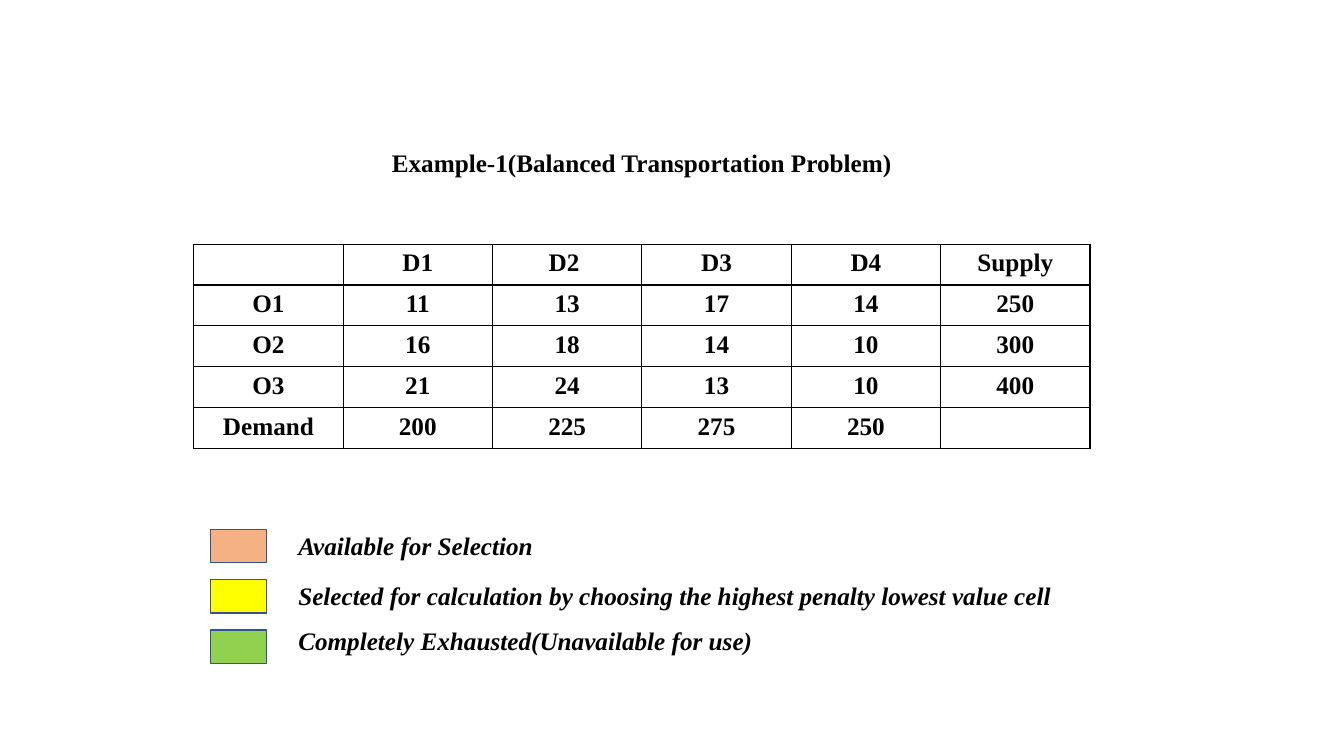
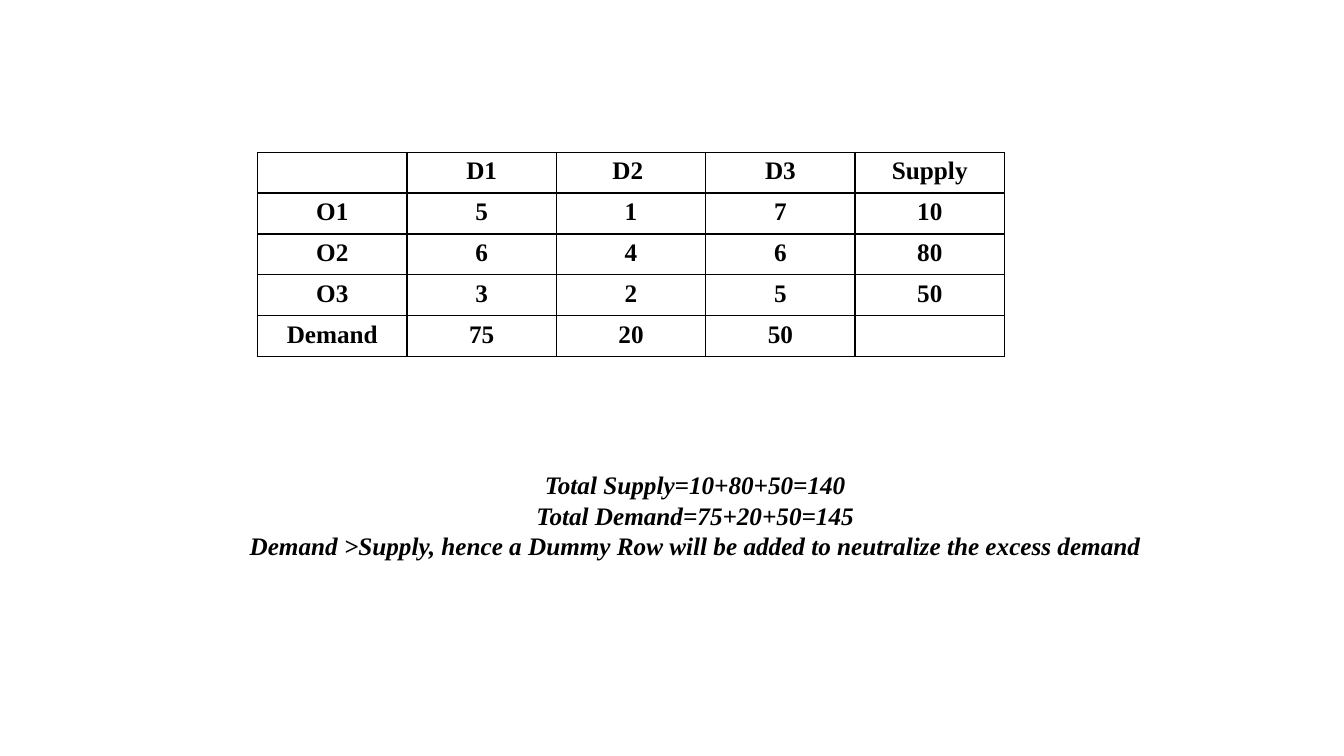
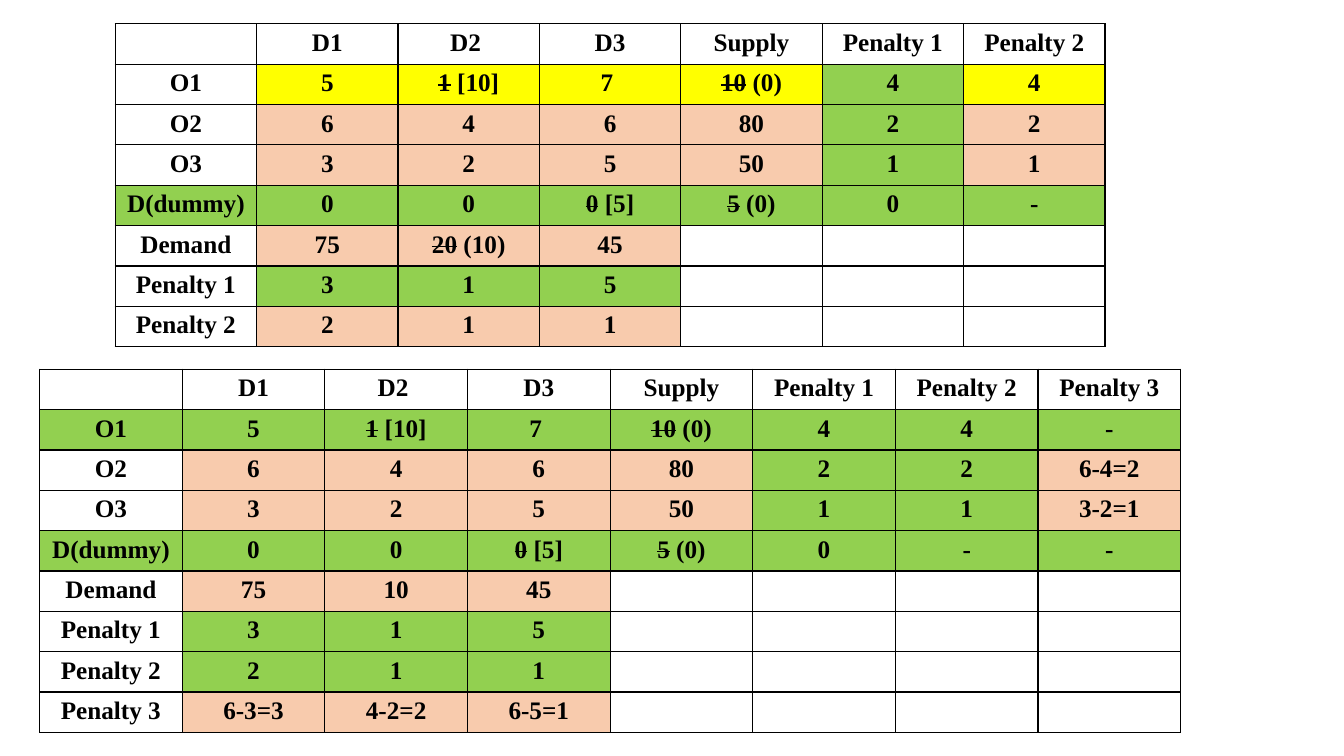
from dataclasses import dataclass
from typing import Optional

from lxml import etree
from pptx import Presentation
from pptx.dml.color import RGBColor
from pptx.enum.shapes import MSO_SHAPE
from pptx.enum.text import MSO_ANCHOR, MSO_AUTO_SIZE, PP_ALIGN
from pptx.oxml.ns import qn
from pptx.util import Pt

LEFT, CENTER = PP_ALIGN.LEFT, PP_ALIGN.CENTER
TOP = MSO_ANCHOR.TOP
GROW = MSO_AUTO_SIZE.SHAPE_TO_FIT_TEXT
RECTANGLE = MSO_SHAPE.RECTANGLE

# Shared look
FONT, SIZE = "Times New Roman", 18
BLACK, WHITE, OUTLINE = "000000", "FFFFFF", "325491"
ORANGE, YELLOW, GREEN, PEACH = "F4B183", "FFFF00", "92D050", "F8CBAD"
FILLS = {".": WHITE, "Y": YELLOW, "G": GREEN, "P": PEACH}
LINE_HEIGHT = 29.1
TITLE_ONLY, BLANK = 5, 6


@dataclass
class Grid:
    """Rows hold cells split by |; ~text~ is struck through.

    Each letter of a fills row is a key of FILLS.
    """
    left: float
    top: float
    column_width: float
    row_height: float
    rows: list[str]
    fills: Optional[list[str]] = None


@dataclass
class LegendEntry:
    color: str
    label: str
    label_top: float


BALANCED = Grid(138.4, 174.4, 106.7, 29.2, [
    "|D1|D2 |D3|D4|Supply",
    "O1|11|13|17|14|250",
    "O2|16|18|14|10|300",
    "O3|21|24|13|10|400",
    "Demand|200|225|275|250|",
])

UNBALANCED = Grid(184, 108.7, 106.7, 29.2, [
    "|D1|D2 |D3|Supply",
    "O1|5|1|7|10",
    "O2|6|4|6|80",
    "O3|3|2|5|50",
    "Demand|75|20|50|",
])

SECOND_PENALTY = Grid(82.3, 17, 101, 28.8, [
    "|D1|D2 |D3|Supply|Penalty 1|Penalty 2",
    "O1|5|~1~ [10]|7 |~10~ (0)|4|4",
    "O2|6|4|6|80|2|2",
    "O3|3|2|5|50|1|1",
    "D(dummy)|0|0|~0~ [5]|~5~ (0)|0|-",
    "Demand|75|~20~ (10)|45|||",
    "Penalty 1|3|1|5|||",
    "Penalty 2|2|1|1|||",
], [
    ".......",
    ".YYYYGY",
    ".PPPPGP",
    ".PPPPGP",
    "GGGGGGG",
    ".PPP...",
    ".GGG...",
    ".PPP...",
])

THIRD_PENALTY = Grid(28.3, 263.7, 101.9, 28.8, [
    "|D1|D2 |D3|Supply|Penalty 1|Penalty 2|Penalty 3",
    "O1|5|~1~ [10]|7 |~10~ (0)|4|4|-",
    "O2|6|4|6|80|2|2|6-4=2",
    "O3|3|2|5|50|1|1|3-2=1",
    "D(dummy)|0|0|~0~ [5]|~5~ (0)|0|-|-",
    "Demand|75|10|45||||",
    "Penalty 1|3|1|5||||",
    "Penalty 2|2|1|1||||",
    "Penalty 3|6-3=3|4-2=2|6-5=1||||",
], [
    "........",
    "GGGGGGGG",
    ".PPPPGGP",
    ".PPPPGGP",
    "GGGGGGGG",
    ".PPP....",
    ".GGG....",
    ".GGG....",
    ".PPP....",
])

LEGEND = [
    LegendEntry(ORANGE, "Available for Selection", 375),
    LegendEntry(YELLOW, "Selected for calculation by choosing the highest "
                        "penalty lowest value cell", 411),
    LegendEntry(GREEN, "Completely Exhausted(Unavailable for use)", 443),
]


def color(value: str) -> RGBColor:
    return RGBColor.from_string(value)


def write(frame, text: str, *, align=LEFT, italic: bool = False) -> None:
    """Write one paragraph per line; parts between ~ are struck through."""
    for number, line in enumerate(text.split("\n")):
        para = frame.add_paragraph() if number else frame.paragraphs[0]
        para.alignment = align
        for index, part in enumerate(line.split("~")):
            if not part:
                continue
            span = para.add_run()
            span.text = part
            font = span.font
            font.name, font.size = FONT, Pt(SIZE)
            font.bold, font.italic = True, italic
            font.color.rgb = color(BLACK)
            if index % 2:
                span._r.get_or_add_rPr().set("strike", "sngStrike")


def add_text(page, text: str, left: float, top: float, width: float,
             height: float = LINE_HEIGHT, **style) -> None:
    box = page.shapes.add_textbox(Pt(left), Pt(top), Pt(width), Pt(height))
    frame = box.text_frame
    frame.word_wrap = True
    frame.auto_size = GROW
    write(frame, text, **style)


def add_borders(cell) -> None:
    properties = cell._tc.get_or_add_tcPr()
    for side in ("a:lnL", "a:lnR", "a:lnT", "a:lnB"):
        line = etree.SubElement(properties, qn(side), w=str(Pt(1)))
        fill = etree.SubElement(line, qn("a:solidFill"))
        etree.SubElement(fill, qn("a:srgbClr"), val=BLACK)


def add_grid(page, grid: Grid) -> None:
    rows = [row.split("|") for row in grid.rows]
    row_count, column_count = len(rows), len(rows[0])
    table = page.shapes.add_table(
        row_count, column_count, Pt(grid.left), Pt(grid.top),
        Pt(grid.column_width * column_count),
        Pt(grid.row_height * row_count)).table
    table.first_row = table.horz_banding = False
    for column in table.columns:
        column.width = Pt(grid.column_width)
    for row_index, texts in enumerate(rows):
        table.rows[row_index].height = Pt(grid.row_height)
        fills = grid.fills[row_index] if grid.fills else "." * column_count
        for column_index, (text, key) in enumerate(zip(texts, fills)):
            cell = table.cell(row_index, column_index)
            add_borders(cell)
            cell.fill.solid()
            cell.fill.fore_color.rgb = color(FILLS[key])
            write(cell.text_frame, text, align=CENTER)


def add_swatch(page, fill: str, top: float) -> None:
    swatch = page.shapes.add_shape(RECTANGLE, Pt(150.5), Pt(top), Pt(40), Pt(24))
    swatch.shadow.inherit = False
    swatch.fill.solid()
    swatch.fill.fore_color.rgb = color(fill)
    swatch.line.color.rgb = color(OUTLINE)
    swatch.line.width = Pt(1)


def add_title(page, text: str) -> None:
    title = page.shapes.title
    title.left, title.top = Pt(230.4), Pt(101.5)
    title.width, title.height = Pt(456), Pt(LINE_HEIGHT)
    frame = title.text_frame
    frame.word_wrap = True
    frame.auto_size = GROW
    frame.vertical_anchor = TOP
    write(frame, text, align=CENTER)


def build_balanced(deck) -> None:
    page = deck.slides.add_slide(deck.slide_layouts[TITLE_ONLY])
    add_title(page, "Example-1(Balanced Transportation Problem)")
    add_grid(page, BALANCED)
    # Legend of cell colours
    for index, entry in enumerate(LEGEND):
        add_swatch(page, entry.color, 378 + 36 * index)
        add_text(page, entry.label, 206, entry.label_top, 668, italic=True)


def build_unbalanced(deck) -> None:
    page = deck.slides.add_slide(deck.slide_layouts[BLANK])
    add_grid(page, UNBALANCED)
    add_text(page, "Total Supply=10+80+50=140\n"
                   "Total Demand=75+20+50=145\n"
                   "Demand >Supply, hence a Dummy Row will be added to "
                   "neutralize the excess demand",
             160.6, 332, 672, 72.7, align=CENTER, italic=True)


def build_penalties(deck) -> None:
    page = deck.slides.add_slide(deck.slide_layouts[BLANK])
    for grid in (SECOND_PENALTY, THIRD_PENALTY):
        add_grid(page, grid)


def main() -> None:
    deck = Presentation()
    deck.slide_width, deck.slide_height = Pt(960), Pt(540)
    build_balanced(deck)
    build_unbalanced(deck)
    build_penalties(deck)
    deck.save("out.pptx")


if __name__ == "__main__":
    main()
